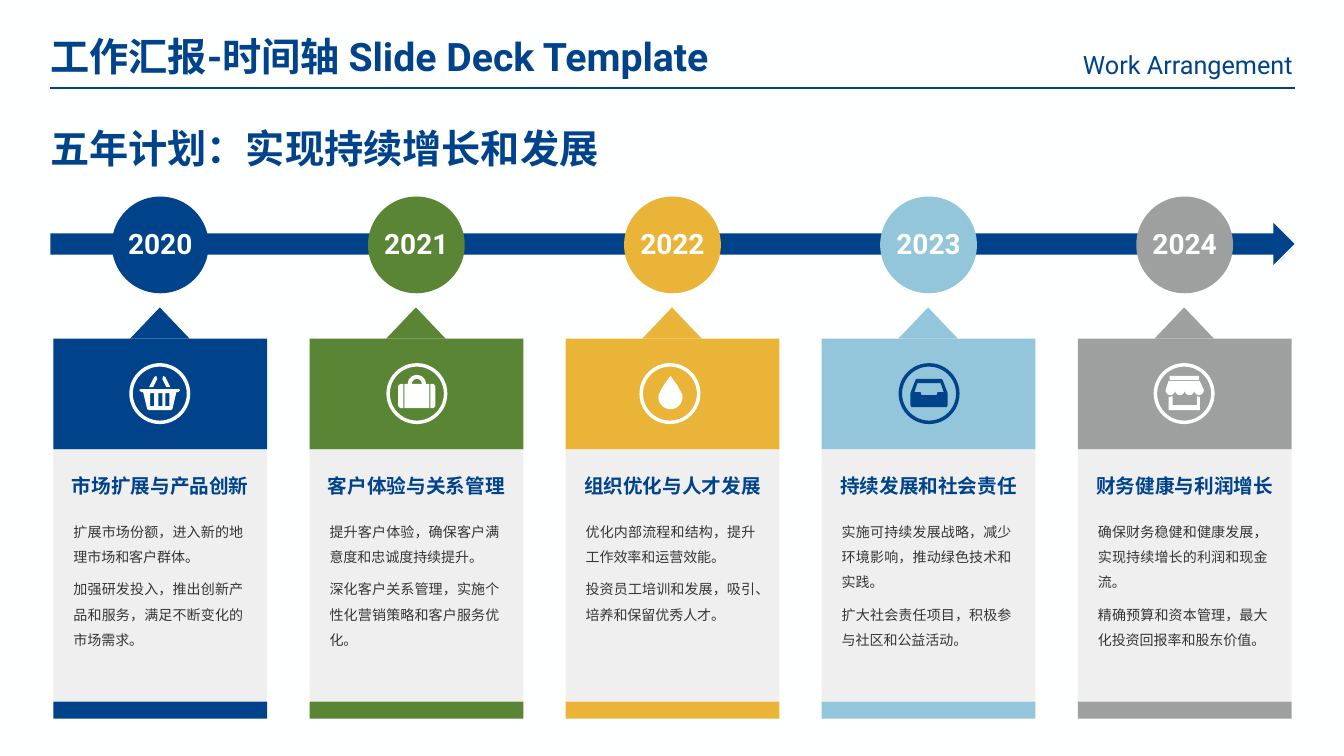
from math import cos, radians, sin

from lxml import etree
from pptx import Presentation
from pptx.dml.color import RGBColor
from pptx.enum.lang import MSO_LANGUAGE_ID as Language
from pptx.enum.shapes import MSO_CONNECTOR as Connector, MSO_SHAPE as Shape
from pptx.enum.text import MSO_ANCHOR as Anchor, MSO_AUTO_SIZE as AutoSize, PP_ALIGN as Align
from pptx.oxml.ns import qn
from pptx.util import Emu, Pt

EMU_PER_PX = 9144  # 100 px to the inch
FONT = "Roboto"
BLUE, WHITE, PANEL, INK = "00438B", "FEFFFF", "EFEFEF", "383535"
FIRST_CARD, CARD_STEP, CARD_WIDTH = 53, 254, 212
RING_TOP, RING_SIZE = 362, 57

# Year, colour, icon colour, ring left, heading, goals
YEARS = [
    ("2020", BLUE, WHITE, 130, "市场扩展与产品创新",
     ["扩展市场份额，进入新的地理市场和客户群体。",
      "加强研发投入，推出创新产品和服务，满足不断变化的市场需求。"]),
    ("2021", "598535", WHITE, 385, "客户体验与关系管理",
     ["提升客户体验，确保客户满意度和忠诚度持续提升。",
      "深化客户关系管理，实施个性化营销策略和客户服务优化。"]),
    ("2022", "E9B437", WHITE, 636, "组织优化与人才发展",
     ["优化内部流程和结构，提升工作效率和运营效能。",
      "投资员工培训和发展，吸引、培养和保留优秀人才。"]),
    ("2023", "93C6DA", BLUE, 893, "持续发展和社会责任",
     ["实施可持续发展战略，减少环境影响，推动绿色技术和实践。",
      "扩大社会责任项目，积极参与社区和公益活动。"]),
    ("2024", "9EA0A0", WHITE, 1146, "财务健康与利润增长",
     ["确保财务稳健和健康发展，实现持续增长的利润和现金流。",
      "精确预算和资本管理，最大化投资回报率和股东价值。"]),
]


def px(length):
    return Emu(round(length * EMU_PER_PX))


def color(hex_string):
    return RGBColor.from_string(hex_string)


# Icon outlines: lists of contours, in px from the corner of the ring
def arc(center_x, center_y, radius_x, radius_y, start, end, steps=16):
    angles = [radians(start + (end - start) * i / steps) for i in range(steps + 1)]
    return [(center_x + radius_x * cos(a), center_y + radius_y * sin(a)) for a in angles]


def block(left, top, right, bottom):
    return [(left, top), (right, top), (right, bottom), (left, bottom)]


def mirror(points):
    return [(RING_SIZE - x, y) for x, y in points]


def basket():
    half = [(47, 24), (49, 25), (47, 27), (45, 27), (41, 44), (39, 45)]
    handle = [(31, 14), (32, 11), (34, 12), (39, 22), (35, 22)]
    slots = [block(x, 28, x + 4, 41) for x in (19, 27, 34)]
    return [half + mirror(half)[::-1], *slots, handle, mirror(handle)]


def suitcase():
    side = [(12, 19), (15, 19), (15, 43), (12, 43), (10, 41), (10, 21)]
    middle = [(16, 43), (16, 19), *arc(28.5, 19, 9, 9, 180, 360), (41, 19), (41, 43)]
    return [side, mirror(side), middle, arc(28.5, 19, 5, 5, 180, 360)]


def drop():
    return [[(29, 11), (35, 19), (39, 26), *arc(29, 32, 12, 12, -10, 190), (19, 26), (23, 19)]]


def tray():
    outer = [(41, 14), (42, 15), (47, 28), (47, 40), (46, 42)]
    inner = [(40, 18), (43, 27), (37, 27), (36, 30)]
    return [half + mirror(half)[::-1] for half in (outer, inner)]


def store():
    awning = [(13, 16), (44, 16)]
    for i in range(4):
        awning += arc(43.25 - 9.5 * i, 25, 4.75, 5, 0, 180)
    frame = [(13, 32), (17, 31), (17, 40), (41, 40), (41, 31), (44, 32), (44, 45), (13, 45)]
    return [block(14, 11, 43, 15), awning, frame]


ICONS = [basket, suitcase, drop, tray, store]


# Elements
def paint(shape, fill):
    shape.shadow.inherit = False
    shape.fill.solid()
    shape.fill.fore_color.rgb = color(fill)
    shape.line.fill.background()


def add_solid(page, kind, left, top, width, height, fill):
    shape = page.shapes.add_shape(kind, px(left), px(top), px(width), px(height))
    paint(shape, fill)
    return shape


def add_ring(page, left, stroke):
    ring = add_solid(page, Shape.OVAL, left, RING_TOP, RING_SIZE, RING_SIZE, stroke)
    ring.fill.background()
    ring.line.color.rgb = color(stroke)
    ring.line.width = Pt(2.5)


def add_icon(page, left, contours, fill):
    builder = None
    for contour in contours:
        points = [(px(left + x), px(RING_TOP + y)) for x, y in contour]
        if builder is None:
            builder = page.shapes.build_freeform(*points[0], scale=1.0)
        else:
            builder.move_to(*points[0])
        builder.add_line_segments(points[1:], close=True)
    paint(builder.convert_to_shape(), fill)


def add_rule(page, left, right, y):
    rule = page.shapes.add_connector(Connector.STRAIGHT, px(left), px(y), px(right), px(y))
    rule.line.color.rgb = color(BLUE)
    rule.line.width = Pt(1.5)
    etree.SubElement(rule._element.spPr, qn("a:effectLst"))


def write(box, lines, size, ink=BLUE, bold=False, align=Align.LEFT, spacing=1.0):
    frame = box.text_frame
    frame.word_wrap = True
    frame.auto_size = AutoSize.NONE
    frame.vertical_anchor = Anchor.TOP
    for i, line in enumerate(lines):
        para = frame.add_paragraph() if i else frame.paragraphs[0]
        para.text = line
        para.alignment = align
        para.line_spacing = spacing
        para.space_before = Pt(0)
        para.space_after = Pt(5)
        para.font.name = FONT
        para.font.size = Pt(size)
        para.font.bold = bold
        para.font.color.rgb = color(ink)
        para.font.language_id = Language.SIMPLIFIED_CHINESE


def add_text(page, left, top, width, height, lines, size, **style):
    box = page.shapes.add_textbox(px(left), px(top), px(width), px(height))
    write(box, lines, size, **style)


def add_header(page):
    title = page.shapes.title
    title.left, title.top, title.width, title.height = map(px, (40, 27, 730, 57))
    write(title, ["工作汇报-时间轴 Slide Deck Template"], 28, bold=True)
    add_text(page, 1039, 44, 253, 40, ["Work Arrangement"], 18, align=Align.RIGHT)
    add_rule(page, 50, 1284, 87)
    add_text(page, 40, 118, 570, 57, ["五年计划：实现持续增长和发展"], 28, bold=True)


def add_year(page, left, outline, year, fill, icon_color, ring_left, heading, goals):
    # Timeline marker
    add_solid(page, Shape.OVAL, left + 58, 195, 96, 96, fill)
    add_text(page, left + 63, 220, 86, 44, [year], 20, ink=WHITE, bold=True, align=Align.CENTER)
    # Card
    add_solid(page, Shape.RECTANGLE, left, 336, CARD_WIDTH, 110, fill)
    add_solid(page, Shape.ISOSCELES_TRIANGLE, left + 76, 305, 59, 31, fill)
    add_solid(page, Shape.RECTANGLE, left, 446, CARD_WIDTH, 250, PANEL)
    add_solid(page, Shape.RECTANGLE, left, 696, CARD_WIDTH, 17, fill)
    # Icon
    add_icon(page, ring_left, outline, icon_color)
    add_ring(page, ring_left, icon_color)
    # Wording
    add_text(page, left, 454, CARD_WIDTH, 42, [heading], 14, bold=True,
             align=Align.CENTER, spacing=1.5)
    add_text(page, left + 10, 506, 188, 141, goals, 10, ink=INK,
             align=Align.JUSTIFY, spacing=1.5)


def main():
    deck = Presentation()
    deck.slide_width, deck.slide_height = px(1333), px(750)
    page = deck.slides.add_slide(deck.slide_layouts[5])
    page.background.fill.solid()
    page.background.fill.fore_color.rgb = color(WHITE)

    add_header(page)
    add_solid(page, Shape.RIGHT_ARROW, 50, 221, 1234, 42, BLUE)
    for i, (icon, details) in enumerate(zip(ICONS, YEARS)):
        add_year(page, FIRST_CARD + CARD_STEP * i, icon(), *details)
    deck.save("out.pptx")


if __name__ == "__main__":
    main()
